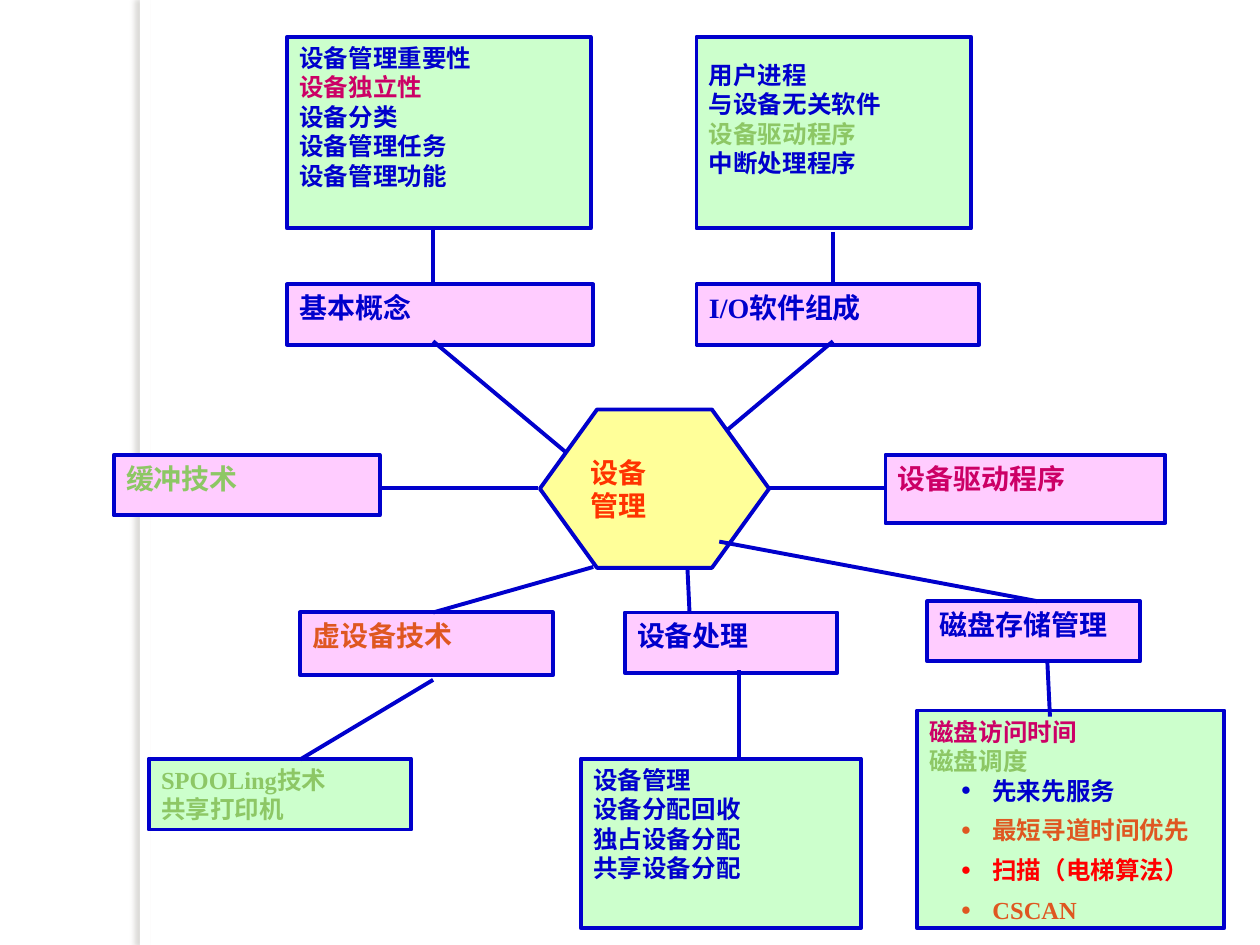
from typing import NamedTuple

from lxml.etree import SubElement
from pptx import Presentation
from pptx.dml.color import RGBColor
from pptx.enum.shapes import MSO_CONNECTOR, MSO_SHAPE
from pptx.enum.text import MSO_ANCHOR, PP_ALIGN
from pptx.oxml.ns import qn
from pptx.shapes.autoshape import Shape
from pptx.slide import Slide
from pptx.util import Pt

WHITE = RGBColor(0xFF, 0xFF, 0xFF)
BLUE = RGBColor(0x00, 0x00, 0xCC)
MAGENTA = RGBColor(0xCC, 0x00, 0x66)
LEAF = RGBColor(0x8D, 0xC7, 0x65)
ORANGE = RGBColor(0xDF, 0x57, 0x21)
RED = RGBColor(0xFF, 0x00, 0x00)
VERMILION = RGBColor(0xFF, 0x33, 0x00)
MINT = RGBColor(0xCC, 0xFF, 0xCC)
PINK = RGBColor(0xFF, 0xCC, 0xFF)
YELLOW = RGBColor(0xFF, 0xFF, 0x99)
SERIF = "Times New Roman"
STROKE = 2.25


class Item(NamedTuple):
    """One line of text inside a node."""

    text: str
    color: RGBColor = BLUE
    bulleted: bool = False


class Node(NamedTuple):
    """A box of the mind map, in points."""

    left: float
    top: float
    width: float
    height: float
    items: list[Item]
    inset_top: float = 3.6
    align: PP_ALIGN = PP_ALIGN.LEFT


class Link(NamedTuple):
    """A straight line between two places, in points."""

    x1: float
    y1: float
    x2: float
    y2: float


DETAILS = [
    Node(164, 21, 173.5, 109.5, [
        Item("设备管理重要性"), Item("设备独立性", MAGENTA), Item("设备分类"),
        Item("设备管理任务"), Item("设备管理功能")]),
    Node(398, 21, 157, 109.5, [
        Item("用户进程"), Item("与设备无关软件"), Item("设备驱动程序", LEAF),
        Item("中断处理程序")], inset_top=13.2),
    Node(85, 433.5, 150, 40.5, [Item("SPOOLing技术", LEAF), Item("共享打印机", LEAF)]),
    Node(332, 433.5, 160, 97, [
        Item("设备管理"), Item("设备分配回收"), Item("独占设备分配"), Item("共享设备分配")]),
    Node(524, 406, 175.5, 124.5, [
        Item("磁盘访问时间", MAGENTA), Item("磁盘调度", LEAF),
        Item("先来先服务", BLUE, True), Item("最短寻道时间优先", ORANGE, True),
        Item("扫描（电梯算法）", RED, True), Item("CSCAN", ORANGE, True)],
        align=PP_ALIGN.JUSTIFY),
]
TOPICS = [
    Node(164, 162.5, 175, 34.5, [Item("基本概念")]),
    Node(398, 162.5, 161.5, 34.5, [Item("I/O软件组成")]),
    Node(65, 260, 152, 34.5, [Item("缓冲技术", LEAF)]),
    Node(506, 260, 160, 39, [Item("设备驱动程序", MAGENTA)]),
    Node(171.5, 350, 144.5, 36, [Item("虚设备技术", ORANGE)]),
    Node(357, 350, 121.5, 34.5, [Item("设备处理")]),
    Node(530, 343.5, 121.5, 34.5, [Item("磁盘存储管理")]),
]
HUB = Node(308.5, 234, 131, 90.5, [Item("设备", VERMILION), Item("管理", VERMILION)])
HUB_LINKS = [
    Link(247.5, 195, 324, 259), Link(476, 195, 407.5, 252.5),
    Link(247.5, 350, 339, 324), Link(394, 349.5, 392.5, 317.5),
    Link(307.5, 279, 217.5, 279), Link(422.5, 279, 506, 279),
]
DETAIL_LINKS = [
    Link(247.5, 130.5, 247.5, 162.5), Link(476, 132.5, 476, 162.5),
    Link(247.5, 388.5, 171.5, 434), Link(422.5, 383, 422.5, 434),
    Link(411, 309.5, 592.5, 343.5), Link(600, 409.5, 598.5, 378),
]


def add_side_strip(slide: Slide) -> None:
    """Draw the white strip that casts a soft shadow to the left."""
    strip = slide.shapes.add_shape(MSO_SHAPE.RECTANGLE, Pt(80), Pt(0), Pt(6), Pt(540))
    strip.shadow.inherit = False
    strip.fill.solid()
    strip.fill.fore_color.rgb = WHITE
    strip.line.fill.background()
    effects = strip._element.spPr.find(qn("a:effectLst"))
    shadow = SubElement(effects, qn("a:outerShdw"), blurRad=str(Pt(3)),
                        dist=str(Pt(3)), dir="10800000", algn="r", rotWithShape="0")
    tint = SubElement(shadow, qn("a:srgbClr"), val="736F63")
    SubElement(tint, qn("a:alpha"), val="25000")


def add_node(slide: Slide, node: Node, fill: RGBColor, size: float,
             font: str = SERIF, preset: MSO_SHAPE = MSO_SHAPE.RECTANGLE) -> Shape:
    """Draw one outlined node with its lines of text."""
    box = slide.shapes.add_shape(preset, Pt(node.left), Pt(node.top),
                                 Pt(node.width), Pt(node.height))
    box.shadow.inherit = False
    box.fill.solid()
    box.fill.fore_color.rgb = fill
    box.line.color.rgb = BLUE
    box.line.width = Pt(STROKE)
    frame = box.text_frame
    frame.word_wrap = True
    frame.vertical_anchor = MSO_ANCHOR.TOP
    frame.margin_top = Pt(node.inset_top)
    for index, item in enumerate(node.items):
        paragraph = frame.add_paragraph() if index else frame.paragraphs[0]
        paragraph.alignment = node.align
        if item.bulleted:
            paragraph.level = 1
            paragraph.space_after = Pt(6)
            properties = paragraph._p.get_or_add_pPr()
            properties.set("marL", str(Pt(36)))
            properties.set("indent", str(-Pt(18)))
            SubElement(properties, qn("a:buSzPct"), val="70000")
            SubElement(properties, qn("a:buFont"), typeface=SERIF)
            SubElement(properties, qn("a:buChar"), char="●")
        run = paragraph.add_run()
        run.text = item.text
        run.font.name = font
        run.font.size = Pt(size)
        run.font.bold = True
        run.font.color.rgb = item.color
    return box


def add_link(slide: Slide, link: Link) -> None:
    """Draw one straight line of the map."""
    connector = slide.shapes.add_connector(
        MSO_CONNECTOR.STRAIGHT, Pt(link.x1), Pt(link.y1), Pt(link.x2), Pt(link.y2))
    connector.line.color.rgb = BLUE
    connector.line.width = Pt(STROKE)
    SubElement(connector._element.spPr, qn("a:effectLst"))


def main() -> None:
    """Build the device management mind map."""
    presentation = Presentation()
    presentation.slide_width, presentation.slide_height = Pt(720), Pt(540)
    slide = presentation.slides.add_slide(presentation.slide_layouts[6])
    add_side_strip(slide)
    for detail in DETAILS:
        add_node(slide, detail, MINT, 14)
    for topic in TOPICS:
        add_node(slide, topic, PINK, 16)
    for link in HUB_LINKS:
        add_link(slide, link)
    hub = add_node(slide, HUB, YELLOW, 16, "Arial", MSO_SHAPE.HEXAGON)
    hub.adjustments[0] = 0.361
    hub.text_frame.word_wrap = False
    hub.text_frame.vertical_anchor = MSO_ANCHOR.MIDDLE
    for link in DETAIL_LINKS:
        add_link(slide, link)
    presentation.save("out.pptx")


if __name__ == "__main__":
    main()
